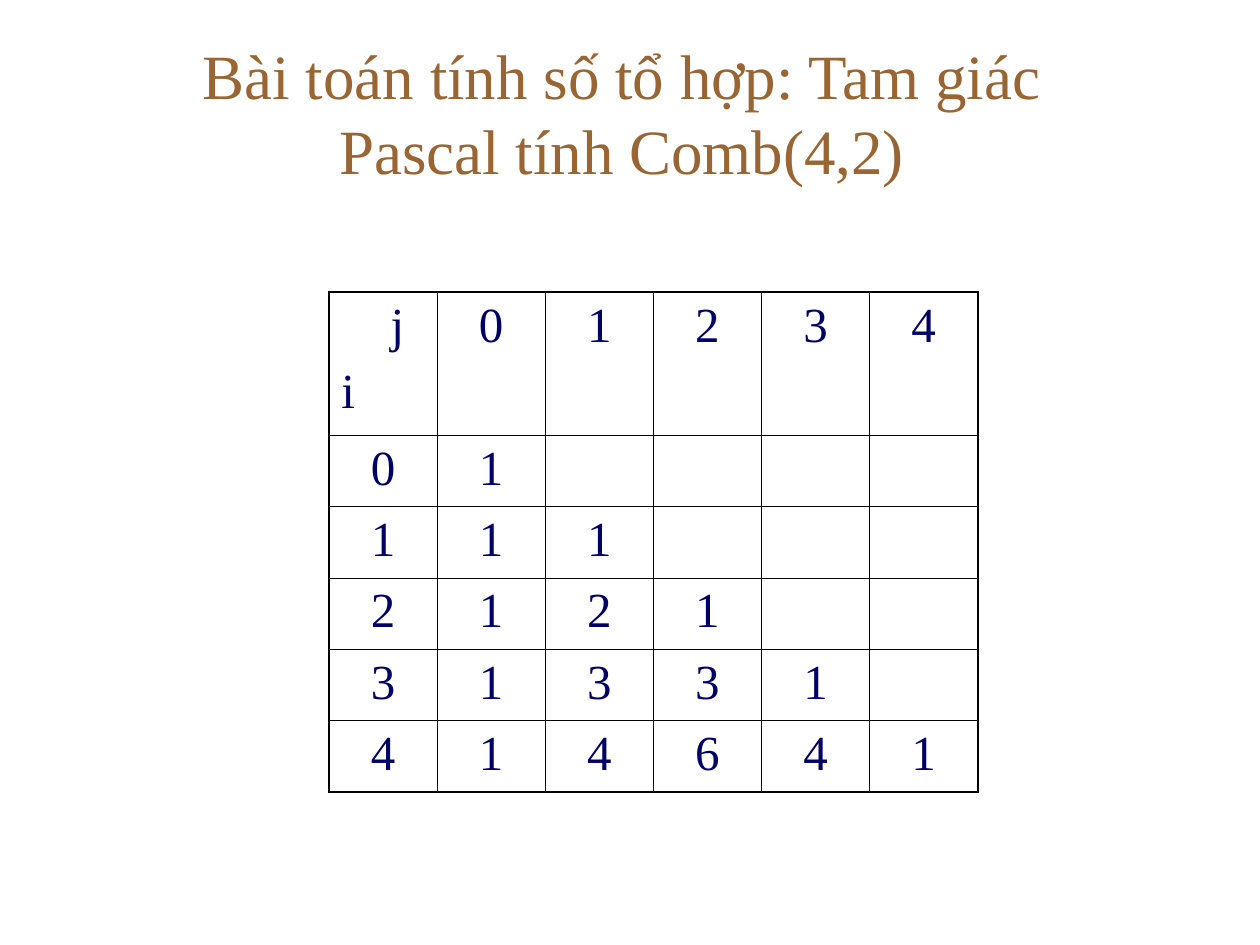
from dataclasses import dataclass
from math import comb

from lxml.etree import SubElement
from pptx import Presentation
from pptx.dml.color import RGBColor
from pptx.enum.text import MSO_ANCHOR, MSO_AUTO_SIZE, PP_ALIGN
from pptx.oxml.ns import qn
from pptx.util import Cm, Pt


@dataclass(frozen=True)
class Theme:
    """Colours, font and sizes of the slide."""

    font: str = "Times New Roman"
    title_color: str = "996633"
    number_color: str = "000066"
    border_color: str = "000000"
    title_size: float = 36
    number_size: float = 28
    inner_border: float = 0.45
    outer_border: float = 1.08
    header_space: float = 24.5
    row_space: float = 7


THEME = Theme()
ORDER = 4


def apply(target, values):
    """Set each attribute named in values on target."""
    for name, value in values.items():
        setattr(target, name, value)


def write(paragraph, text, size, color, **layout):
    """Put one formatted run of text in a paragraph."""
    run = paragraph.add_run()
    run.text = text
    apply(run.font, {"name": THEME.font, "size": Pt(size)})
    run.font.color.rgb = RGBColor.from_string(color)
    apply(paragraph, layout)


def add_title(slide, text):
    """Place and format the slide title."""
    title = slide.shapes.title
    apply(title, {"left": Cm(2.59), "top": Cm(0.28),
                  "width": Cm(19.89), "height": Cm(3.94)})
    apply(title.text_frame, {"vertical_anchor": MSO_ANCHOR.MIDDLE,
                             "word_wrap": True,
                             "auto_size": MSO_AUTO_SIZE.NONE})
    write(title.text_frame.paragraphs[0], text, THEME.title_size,
          THEME.title_color, alignment=PP_ALIGN.CENTER)


def set_borders(cell, row, column, last):
    """Draw the cell borders, heavier on the outside of the table."""
    outer_sides = {"a:lnL": column == 0, "a:lnR": column == last,
                   "a:lnT": row == 0, "a:lnB": row == last}
    properties = cell._tc.get_or_add_tcPr()
    for side, is_outer in outer_sides.items():
        width = THEME.outer_border if is_outer else THEME.inner_border
        border = SubElement(properties, qn(side), w=str(Pt(width)))
        fill = SubElement(border, qn("a:solidFill"))
        SubElement(fill, qn("a:srgbClr"), val=THEME.border_color)


def write_corner(cell):
    """Label the column index j and the row index i."""
    column_label = cell.text_frame.paragraphs[0]
    row_label = cell.text_frame.add_paragraph()
    for label, text in ((column_label, "j"), (row_label, "i")):
        write(label, text, THEME.number_size, THEME.number_color,
              space_before=Pt(THEME.row_space), alignment=PP_ALIGN.LEFT)
    column_label._p.get_or_add_pPr().set("marL", str(Cm(0.99)))


def pascal_rows(order):
    """Return the index header and the numbered rows of the triangle."""
    indexes = range(order + 1)
    header = ["", *indexes]
    return [header] + [[i] + [comb(i, j) if j <= i else "" for j in indexes]
                       for i in indexes]


def add_triangle(slide, rows):
    """Add the table that holds Pascal's triangle."""
    count = len(rows)
    column_width, row_height = Cm(2.18), Cm(1.44)
    table = slide.shapes.add_table(
        count, count, Cm(6.63), Cm(5.89),
        column_width * count, row_height * (count + 1)).table
    apply(table, {"first_row": False, "horz_banding": False})
    for column in table.columns:
        column.width = column_width
    for r, values in enumerate(rows):
        table.rows[r].height = row_height if r else row_height * 2
        space = THEME.row_space if r else THEME.header_space
        for c, value in enumerate(values):
            cell = table.cell(r, c)
            set_borders(cell, r, c, count - 1)
            cell.fill.background()
            if value != "":
                write(cell.text_frame.paragraphs[0], str(value),
                      THEME.number_size, THEME.number_color,
                      alignment=PP_ALIGN.CENTER, space_before=Pt(space))
    write_corner(table.cell(0, 0))


def main():
    """Build and save the slide."""
    deck = Presentation()
    apply(deck, {"slide_width": Cm(25.4), "slide_height": Cm(19.05)})
    slide = deck.slides.add_slide(deck.slide_layouts[5])
    add_title(slide, "Bài toán tính số tổ hợp: Tam giác Pascal tính Comb(4,2)")
    add_triangle(slide, pascal_rows(ORDER))
    deck.save("out.pptx")


if __name__ == "__main__":
    main()
